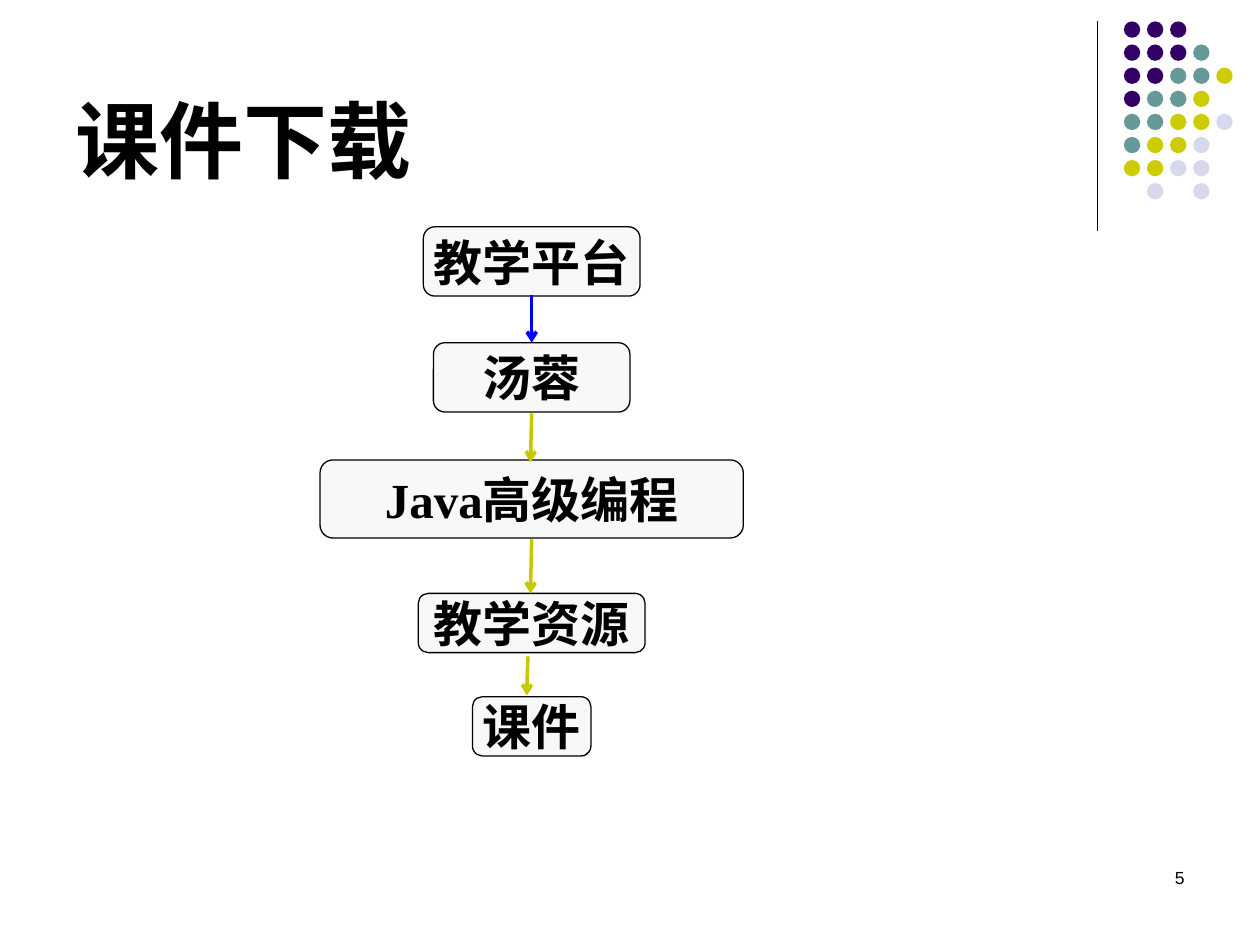
"""Builds the courseware download slide: a five-step flow beside a dot ornament."""
from dataclasses import dataclass

from lxml.etree import SubElement
from pptx import Presentation
from pptx.dml.color import RGBColor
from pptx.enum.shapes import MSO_CONNECTOR, MSO_SHAPE
from pptx.enum.text import MSO_ANCHOR, PP_ALIGN
from pptx.oxml.ns import qn
from pptx.util import Inches, Pt

COLOURS = {
    "ink": "000000", "box": "F8F8F8", "blue": "0000FF", "olive": "C8C800",
    "purple": "330066", "teal": "669999", "lime": "CCCC00", "mist": "D8D8EC",
}
DOT_COLOURS = {"P": "purple", "T": "teal", "L": "lime", "M": "mist"}
DOT_ROWS = ("PPP", "PPPT", "PPTTL", "PTTL", "TTLLM", "TLLM", "LLMM", " M M")
DOT_LEFT, DOT_TOP, DOT_SIZE, DOT_PITCH = 89.2, 1.7, 1.3, 5.5 / 3
COLUMNS, ROWS = 100, 75
FLOW_CENTRE = 42.2


@dataclass(frozen=True)
class Step:
    """A flow box centred on the flow axis."""
    text: str
    top: float
    width: float
    height: float


@dataclass(frozen=True)
class Line:
    """A straight line between two grid points."""
    start: tuple[float, float]
    end: tuple[float, float]
    colour: str
    weight: float = 2
    arrow: bool = True


@dataclass(frozen=True)
class Label:
    """A plain text box."""
    text: str
    area: tuple[float, float, float, float]
    size: int
    bold: bool
    align: PP_ALIGN
    anchor: MSO_ANCHOR


STEPS = (
    Step("教学平台", 18, 17.2, 5.5),
    Step("汤蓉", 27.2, 15.6, 5.5),
    Step("Java高级编程", 36.5, 33.6, 6.2),
    Step("教学资源", 47.1, 18, 4.7),
    Step("课件", 55.3, 9.4, 4.7),
)
LINES = (
    Line((87.1, 1.7), (87.1, 18.3), "ink", 0.75, False),
    Line((42.2, 23.4), (42.2, 27.2), "blue"),
    Line((42.2, 32.8), (42.1, 36.7), "olive"),
    Line((42.2, 42.8), (42.1, 47.1), "olive"),
    Line((41.9, 52.1), (41.8, 55.2), "olive"),
)
LABELS = (
    Label("课件下载", (5, 1.3, 82.5, 14.2), 48, True, PP_ALIGN.LEFT, MSO_ANCHOR.BOTTOM),
    Label("5", (71.7, 68.3, 23.3, 5), 10, False, PP_ALIGN.RIGHT, MSO_ANCHOR.TOP),
)

deck = Presentation()
deck.slide_width, deck.slide_height = Inches(10), Inches(7.5)
page = deck.slides.add_slide(deck.slide_layouts[6])


def across(columns: float) -> int:
    """Turn grid columns into a slide length."""
    return round(deck.slide_width * columns / COLUMNS)


def down(rows: float) -> int:
    """Turn grid rows into a slide length."""
    return round(deck.slide_height * rows / ROWS)


def place(area: tuple[float, float, float, float]) -> tuple[int, int, int, int]:
    """Turn a grid area into left, top, width and height."""
    left, top, width, height = area
    return across(left), down(top), across(width), down(height)


def colour(name: str) -> RGBColor:
    """Look up a named colour."""
    return RGBColor.from_string(COLOURS[name])


def write(box, text: str, size: int, font: str, bold: bool,
          align: PP_ALIGN, anchor: MSO_ANCHOR, wrap: bool) -> None:
    """Put one styled paragraph in a box."""
    frame = box.text_frame
    frame.word_wrap, frame.vertical_anchor = wrap, anchor
    para = frame.paragraphs[0]
    para.text, para.alignment = text, align
    para.font.name, para.font.size, para.font.bold = font, Pt(size), bold
    para.font.color.rgb = colour("ink")


def draw_shape(kind: MSO_SHAPE, area: tuple[float, float, float, float], fill: str):
    """Add a flat filled shape without a line."""
    box = page.shapes.add_shape(kind, *place(area))
    box.shadow.inherit = False
    box.fill.solid()
    box.fill.fore_color.rgb = colour(fill)
    box.line.fill.background()
    return box


def draw_dots() -> None:
    """Draw the dot ornament from its row patterns."""
    for row, pattern in enumerate(DOT_ROWS):
        for column, mark in enumerate(pattern):
            if mark in DOT_COLOURS:
                area = (DOT_LEFT + column * DOT_PITCH, DOT_TOP + row * DOT_PITCH,
                        DOT_SIZE, DOT_SIZE)
                draw_shape(MSO_SHAPE.OVAL, area, DOT_COLOURS[mark])


def draw_step(step: Step) -> None:
    """Draw one flow box with its text."""
    area = (FLOW_CENTRE - step.width / 2, step.top, step.width, step.height)
    box = draw_shape(MSO_SHAPE.FLOWCHART_ALTERNATE_PROCESS, area, "box")
    box.line.color.rgb, box.line.width = colour("ink"), Pt(0.75)
    write(box, step.text, 28, "Times New Roman", True,
          PP_ALIGN.CENTER, MSO_ANCHOR.MIDDLE, False)


def draw_line(line: Line) -> None:
    """Draw one line, with an arrowhead if it has one."""
    (left, top), (right, bottom) = line.start, line.end
    connector = page.shapes.add_connector(
        MSO_CONNECTOR.STRAIGHT, across(left), down(top), across(right), down(bottom))
    connector.line.color.rgb = colour(line.colour)
    connector.line.width = Pt(line.weight)
    if line.arrow:
        SubElement(connector.line._get_or_add_ln(), qn("a:tailEnd"), type="arrow")
    SubElement(connector._element.spPr, qn("a:effectLst"))


def draw_label(label: Label) -> None:
    """Draw one text box."""
    box = page.shapes.add_textbox(*place(label.area))
    write(box, label.text, label.size, "Arial", label.bold,
          label.align, label.anchor, True)


draw_dots()
for label in LABELS:
    draw_label(label)
for step in STEPS:
    draw_step(step)
for line in LINES:
    draw_line(line)
deck.save("out.pptx")
